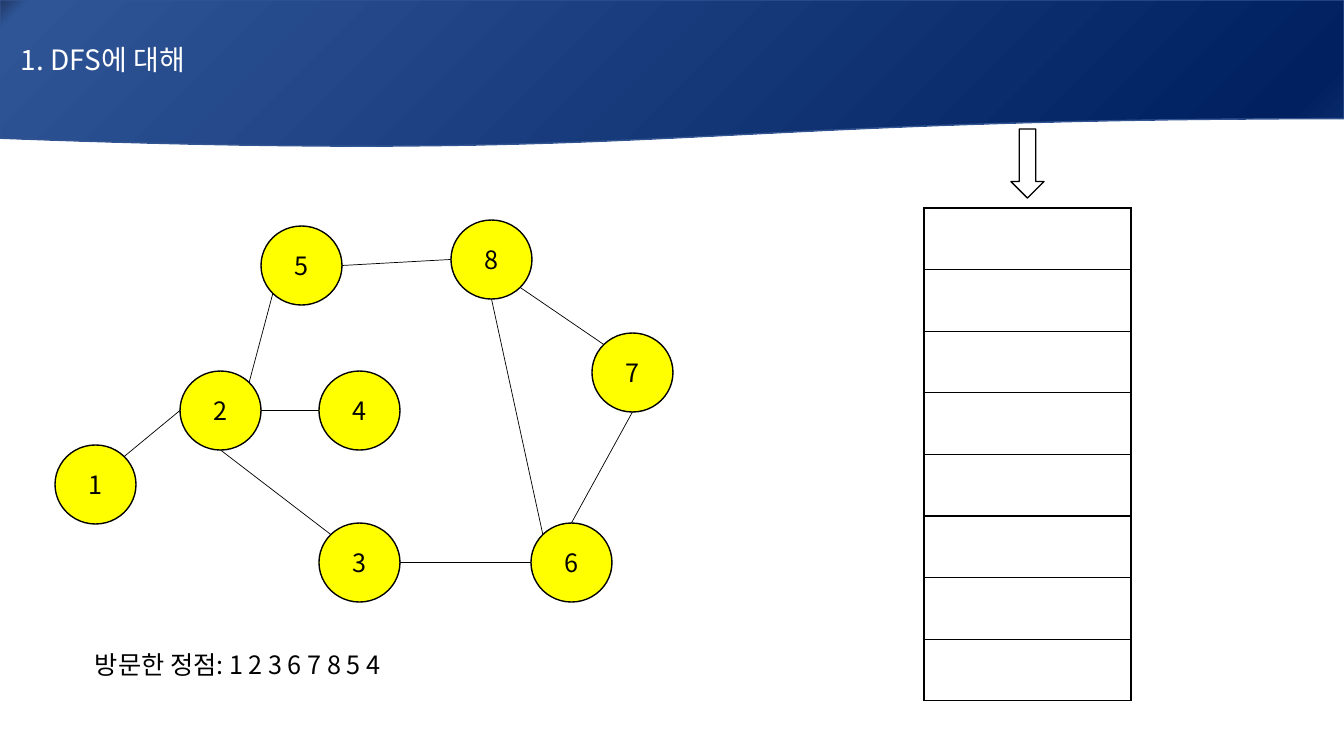
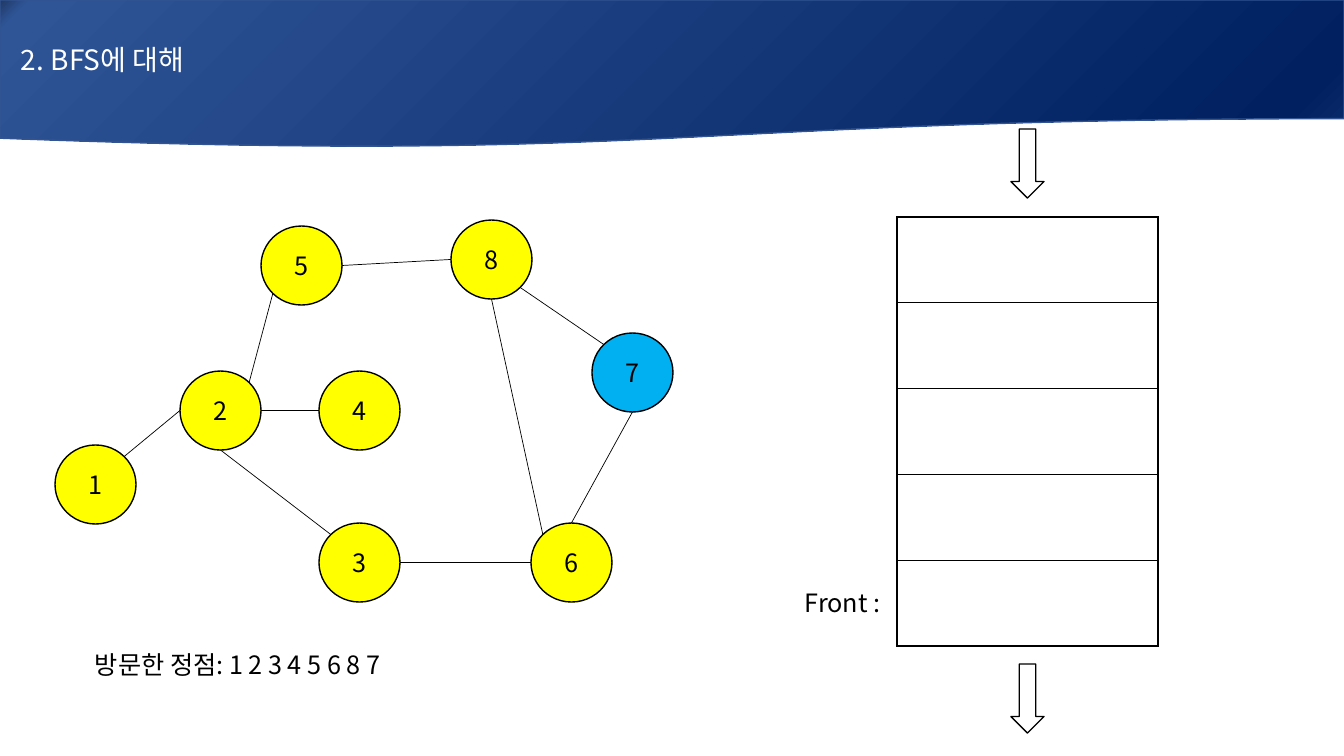
import math

import lxml.etree
import pptx
import pptx.dml.color
import pptx.enum.dml
import pptx.enum.shapes
import pptx.enum.text
import pptx.oxml
import pptx.oxml.ns
import pptx.util

RGB = pptx.dml.color.RGBColor
SHAPE = pptx.enum.shapes.MSO_SHAPE
ALIGN = pptx.enum.text.PP_ALIGN
MIDDLE = pptx.enum.text.MSO_ANCHOR.MIDDLE
qn = pptx.oxml.ns.qn

BLACK = RGB(0x00, 0x00, 0x00)
WHITE = RGB(0xFF, 0xFF, 0xFF)
YELLOW = RGB(0xFF, 0xFF, 0x00)
BLUE = RGB(0x00, 0xB0, 0xF0)
EDGE = RGB(0x32, 0x54, 0x91)
STOPS = [
    (0, RGB(0x20, 0x38, 0x64)),
    (2, RGB(0x2F, 0x55, 0x97)),
    (94, RGB(0x00, 0x20, 0x60)),
    (100, RGB(0x0D, 0x2E, 0x6F)),
]
FONT = "Noto Sans CJK KR"
WIDE, HIGH = 1344, 756

NODE_W, NODE_H = 81, 79
NODES = {
    1: (55, 445), 2: (180, 371), 4: (319, 371), 5: (261, 226),
    3: (319, 523), 6: (531, 523), 8: (451, 220), 7: (592, 333),
}
# Sites of an ellipse, counterclockwise in steps of 45 degrees
TOP, TOP_L, LEFT, LOW_L, LOW, LOW_R, RIGHT, TOP_R = range(8)
LINKS = [
    (1, TOP_R, 2, LEFT), (2, RIGHT, 4, LEFT), (2, TOP_R, 5, LOW_L),
    (5, RIGHT, 8, LEFT), (8, LOW_R, 7, TOP_L), (7, LOW, 6, TOP),
    (8, LOW, 6, TOP_L), (2, LOW, 3, TOP_L), (3, RIGHT, 6, LEFT),
]


def px(num):
    return pptx.util.Emu(round(num * 914400 / 100.8))


def write(para, text, size=18, color=BLACK):
    run = para.add_run()
    run.text = text
    font = run.font
    font.name, font.size, font.color.rgb = FONT, pptx.util.Pt(size), color
    east = lxml.etree.Element(qn("a:ea"), typeface=FONT)
    font._element.find(qn("a:latin")).addnext(east)


def add_form(slide, kind, box, fill=WHITE, line=BLACK):
    form = slide.shapes.add_shape(kind, *map(px, box))
    form.shadow.inherit = False
    form.fill.solid()
    form.fill.fore_color.rgb = fill
    form.line.color.rgb = line
    form.line.width = pptx.util.Pt(1)
    return form


def add_band(slide):
    """Put the wavy top band on the slide's layout, behind its titles."""
    band = add_form(slide, SHAPE.FLOWCHART_DOCUMENT, (0, 0, WIDE, 148), line=EDGE)
    band.fill.gradient()
    band.fill.gradient_angle = 315
    stops = band._element.spPr.find(qn("a:gradFill")).find(qn("a:gsLst"))
    for stop in list(stops):
        stops.remove(stop)
    for part, color in STOPS:
        stop = lxml.etree.SubElement(stops, qn("a:gs"), pos=str(part * 1000))
        lxml.etree.SubElement(stop, qn("a:srgbClr"), val=str(color))
    band._element.nvSpPr.cNvPr.set("id", "100")
    slide.slide_layout.shapes._spTree.insert(2, band._element)


def set_title(slide, text):
    title = slide.shapes.title
    title.left, title.top, title.width, title.height = map(px, (0, 0, WIDE, 119))
    frame = title.text_frame
    frame.margin_left = px(21)
    frame.vertical_anchor = MIDDLE
    frame.word_wrap = True
    para = frame.paragraphs[0]
    para.alignment = ALIGN.LEFT
    write(para, text, 20, WHITE)


def add_node(slide, num, fill):
    node = add_form(slide, SHAPE.OVAL, (*NODES[num], NODE_W, NODE_H), fill)
    node.text_frame.vertical_anchor = MIDDLE
    para = node.text_frame.paragraphs[0]
    para.alignment = ALIGN.CENTER
    write(para, str(num))
    return node


def get_site(num, site):
    left, top = NODES[num]
    turn = math.radians(90 + 45 * site)
    return (px(left + NODE_W / 2 * (1 + math.cos(turn))),
            px(top + NODE_H / 2 * (1 - math.sin(turn))))


def add_graph(slide, marked):
    nodes = {num: add_node(slide, num, BLUE if num in marked else YELLOW)
             for num in NODES}
    for start, out, end, into in LINKS:
        link = slide.shapes.add_connector(
            pptx.enum.shapes.MSO_CONNECTOR.STRAIGHT,
            *get_site(start, out), *get_site(end, into))
        link._connect_begin_to(nodes[start], out)
        link._connect_end_to(nodes[end], into)
        link.line.color.rgb = BLACK
        link.line.width = pptx.util.Pt(0.5)
        lxml.etree.SubElement(link._element.spPr, qn("a:effectLst"))


def add_stack(slide, box, count):
    """Add a one-column table of equal, empty, outlined cells."""
    table = slide.shapes.add_table(count, 1, *map(px, box)).table
    table.first_row = table.horz_banding = False
    for row in table.rows:
        row.height = px(box[3] / count)
        cell = row.cells[0]
        props = cell._tc.get_or_add_tcPr()
        for side in ("lnL", "lnR", "lnT", "lnB"):
            line = lxml.etree.SubElement(props, qn("a:" + side), w="12700")
            fill = lxml.etree.SubElement(line, qn("a:solidFill"))
            lxml.etree.SubElement(fill, qn("a:srgbClr"), val=str(BLACK))
        cell.fill.solid()
        cell.fill.fore_color.rgb = WHITE


def add_arrow(slide, top):
    add_form(slide, SHAPE.DOWN_ARROW, (1011, top, 33, 69))


def add_label(slide, box, text):
    frame = slide.shapes.add_textbox(*map(px, box)).text_frame
    frame.word_wrap = True
    write(frame.paragraphs[0], text)


def add_search(deck, title, order, stack, count, marked=()):
    slide = deck.slides.add_slide(deck.slide_layouts[5])
    set_title(slide, title)
    add_graph(slide, marked)
    add_stack(slide, stack, count)
    add_arrow(slide, 129)
    add_label(slide, (85, 644, 630, 40), "방문한 정점: " + order)
    return slide


def main():
    deck = pptx.Presentation()
    deck.slide_width, deck.slide_height = px(WIDE), px(HIGH)

    depth = add_search(deck, "1. DFS에 대해", "1 2 3 6 7 8 5 4",
                       (924, 208, 207, 493), 8)
    add_band(depth)

    breadth = add_search(deck, "2. BFS에 대해", "1 2 3 4 5 6 8 7",
                         (897, 217, 261, 429), 5, marked={7})
    add_arrow(breadth, 664)
    add_label(breadth, (795, 582, 102, 40), "Front :")

    deck.save("out.pptx")


if __name__ == "__main__":
    main()
